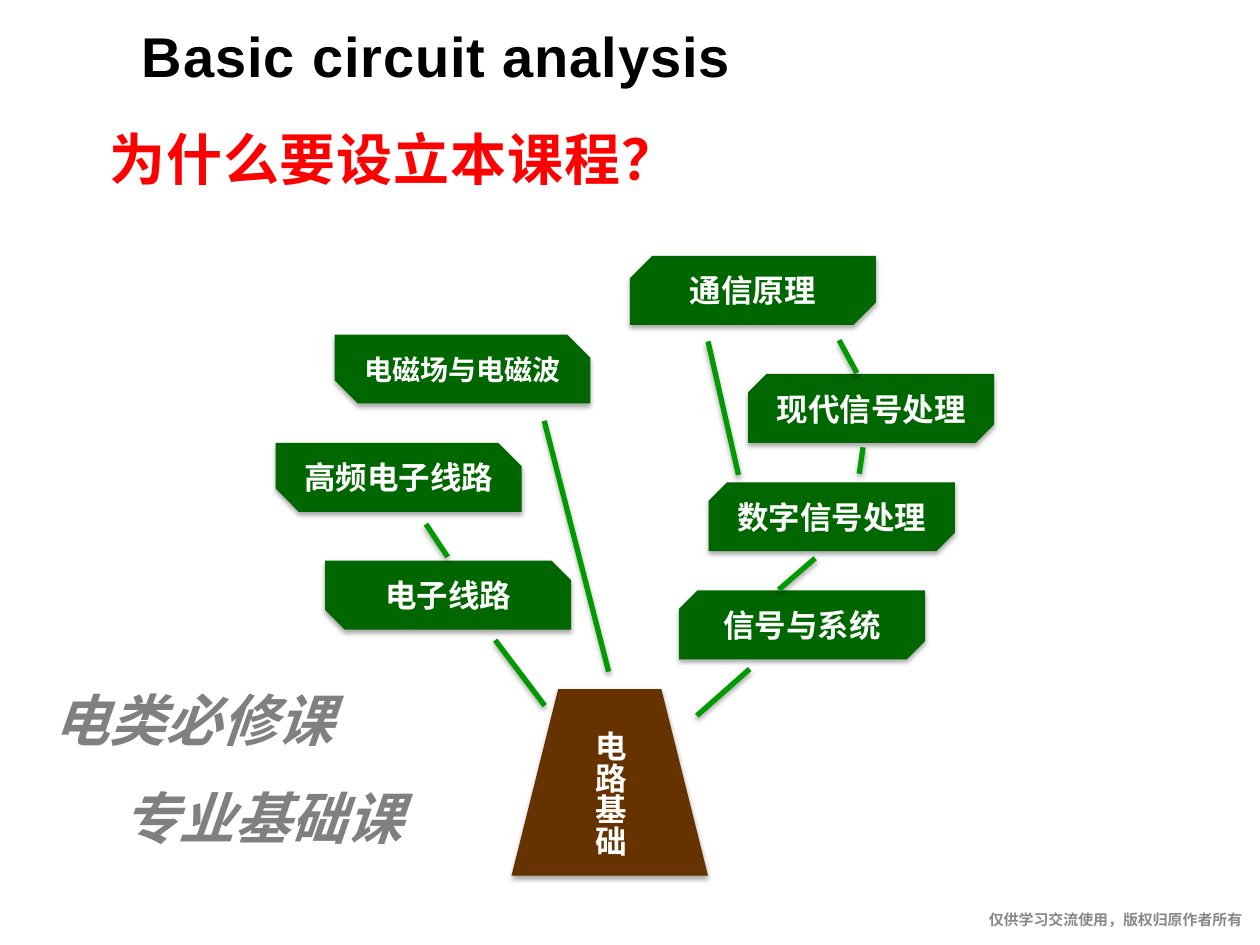
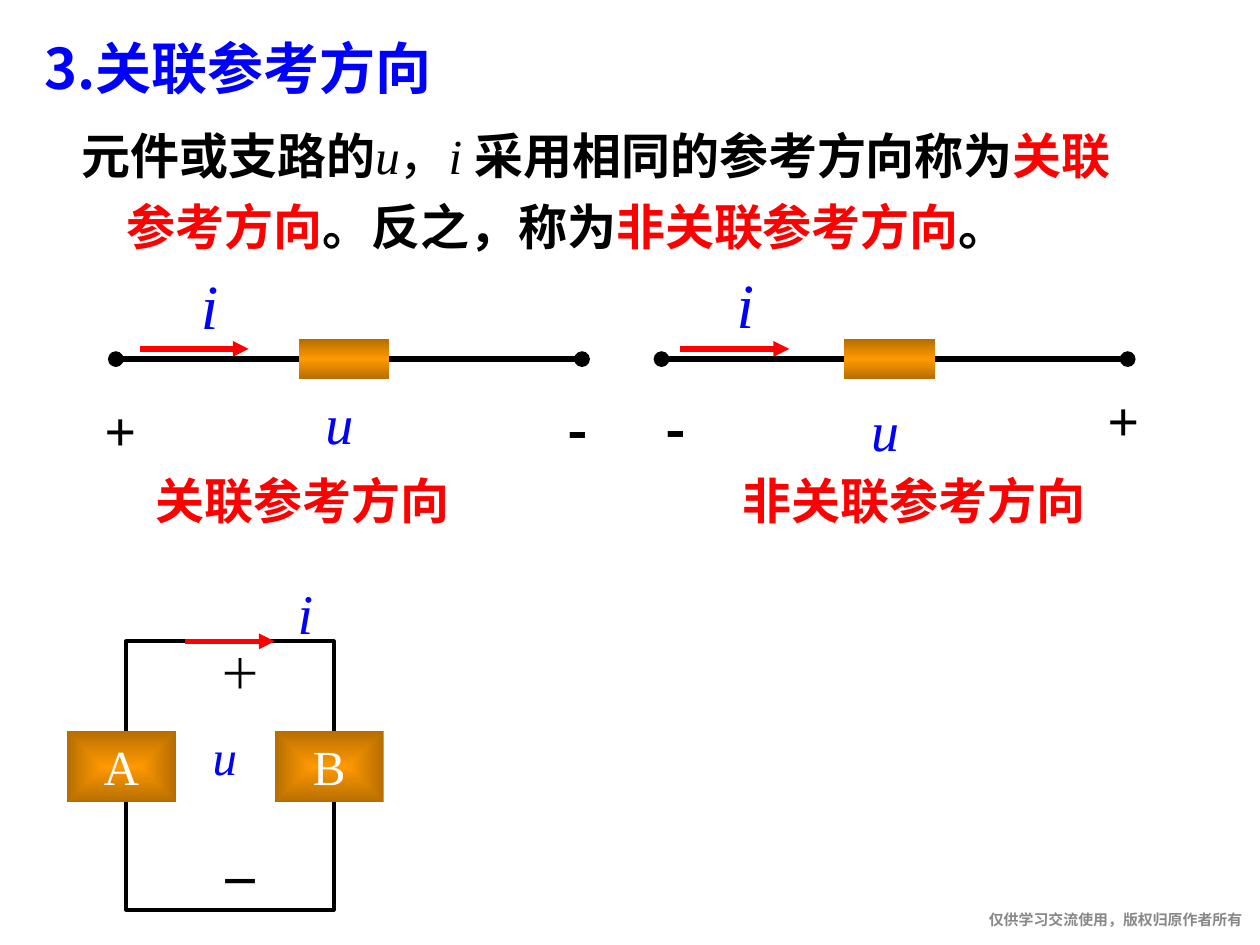
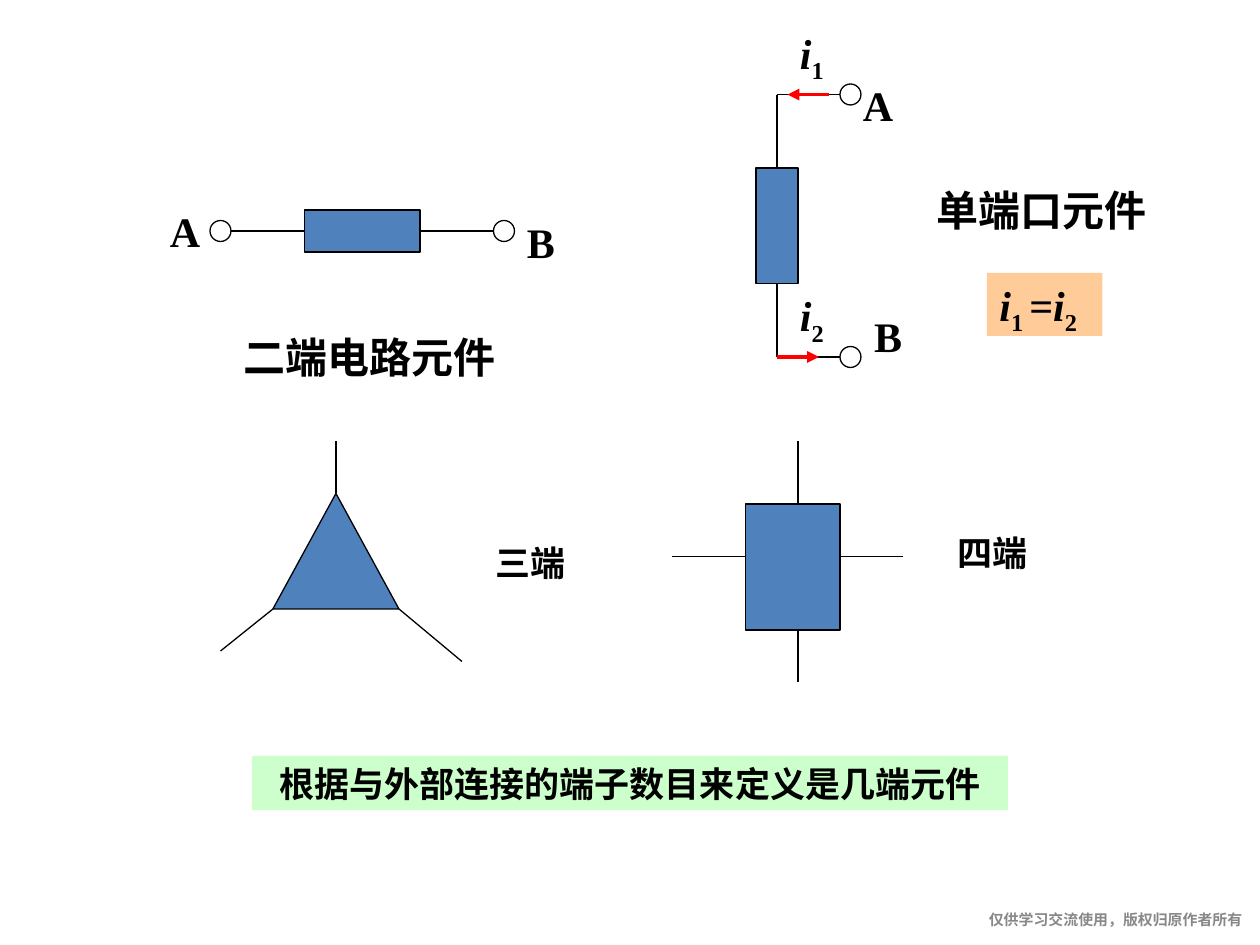
"""Build three slides on basic circuit analysis."""
import pptx
import pptx.dml.color
import pptx.enum.shapes
import pptx.enum.text
import pptx.oxml
import pptx.oxml.ns
import pptx.util

Pt = pptx.util.Pt
KIND = pptx.enum.shapes.MSO_SHAPE
ALIGN = pptx.enum.text.PP_ALIGN
ANCHOR = pptx.enum.text.MSO_ANCHOR
SANS, CJK, SERIF = "Arial", "Noto Sans CJK SC", "Times New Roman"
BLACK, WHITE, RED, BLUE = "000000", "FFFFFF", "FF0000", "0000FF"
GREEN, TWIG, BROWN, GRAY = "006600", "009900", "663300", "808080"
STEEL, MINT, PEACH = "4F81BD", "CCFFCC", "FFCC99"
AMBER, RUST = "FF9900", "B66D00"
CREDIT = "仅供学习交流使用，版权归原作者所有"
SIGN = {"size": 32, "bold": True}
VAR = {"size": 32, "face": SERIF, "color": BLUE, "slant": True}
TERM = {"size": 24, "face": SERIF, "bold": True}


def tint(code):
    """Turn a hex string into a colour."""
    return pptx.dml.color.RGBColor.from_string(code)


def node(tag, **attrs):
    """Make a drawing element."""
    item = pptx.oxml.parse_xml(f"<a:{tag} {pptx.oxml.ns.nsdecls('a')}/>")
    for key, value in attrs.items():
        item.set(key, str(value))
    return item


def nest(parent, tag, **attrs):
    """Append a drawing element and return it."""
    child = node(tag, **attrs)
    parent.append(child)
    return child


def cast(effects):
    """Add a soft drop shadow to an effect list."""
    shade = nest(effects, "outerShdw", blurRad=Pt(3.1), dist=Pt(1.8),
                 dir=5400000, rotWithShape=0)
    nest(nest(shade, "srgbClr", val=BLACK), "alpha", val=35000)


def blend(shape, stops, round_box=False):
    """Fill a shape with a vertical or boxed gradient."""
    grad = node("gradFill", rotWithShape=1)
    marks = nest(grad, "gsLst")
    for place, code in stops:
        nest(nest(marks, "gs", pos=place * 1000), "srgbClr", val=code)
    if round_box:
        nest(nest(grad, "path", path="shape"), "fillToRect",
             l=50000, t=50000, r=50000, b=50000)
    else:
        nest(grad, "lin", ang=5400000, scaled=1)
    props = shape._element.spPr
    props.replace(props.find(pptx.oxml.ns.qn("a:noFill")), grad)


def style(run, size, face=SANS, color=BLACK, bold=False, slant=False,
          base=0, space=0):
    """Format one run."""
    font = run.font
    font.size, font.bold, font.italic = Pt(size), bold, slant
    font.color.rgb = tint(color)
    font.name = face
    props = run._r.get_or_add_rPr()
    nest(props, "ea", typeface=CJK)
    if base:
        props.set("baseline", str(base * 1000))
    if space:
        props.set("spc", str(int(space * 100)))


def write(frame, text, align=ALIGN.LEFT, anchor=ANCHOR.TOP, wrap=True, **look):
    """Set text, given as a string or as (text, changes) pairs."""
    frame.word_wrap, frame.vertical_anchor = wrap, anchor
    para = frame.paragraphs[0]
    para.alignment = align
    parts = [(text, {})] if isinstance(text, str) else text
    for words, change in parts:
        run = para.add_run()
        run.text = words
        style(run, **{**look, **change})
    return para


def label(slide, box, text, **look):
    """Add a text box."""
    item = slide.shapes.add_textbox(*map(Pt, box))
    write(item.text_frame, text, **look)
    return item


def block(slide, kind, box, fill=None, line=None, width=0.75, shade=False):
    """Add a preset shape."""
    item = slide.shapes.add_shape(kind, *map(Pt, box))
    item.shadow.inherit = False
    if fill:
        item.fill.solid()
        item.fill.fore_color.rgb = tint(fill)
    else:
        item.fill.background()
    if line:
        item.line.color.rgb = tint(line)
        item.line.width = Pt(width)
    else:
        item.line.fill.background()
    if shade:
        cast(item._element.spPr.find(pptx.oxml.ns.qn("a:effectLst")))
    return item


def wire(slide, ends, color=BLACK, width=0.75, head=None, tail=None,
         shade=False):
    """Add a straight line with optional end marks."""
    item = slide.shapes.add_connector(
        pptx.enum.shapes.MSO_CONNECTOR.STRAIGHT, *map(Pt, ends))
    item.line.color.rgb = tint(color)
    item.line.width = Pt(width)
    stroke = item.line._get_or_add_ln()
    for tag, mark in (("headEnd", head), ("tailEnd", tail)):
        if mark:
            nest(stroke, tag, type=mark)
    effects = nest(item._element.spPr, "effectLst")
    if shade:
        cast(effects)
    return item


def start(deck, title=None, box=None, **look):
    """Add a slide with its credit line and perhaps a title."""
    slide = deck.slides.add_slide(deck.slide_layouts[5 if title else 6])
    if title:
        head = slide.shapes.title
        head.left, head.top, head.width, head.height = map(Pt, box)
        head.text_frame.auto_size = pptx.enum.text.MSO_AUTO_SIZE.NONE
        write(head.text_frame, title, size=32, bold=True, **look)
    foot = label(slide, (436.3, 520.6, 273.6, 15.8), CREDIT, size=8.5,
                 color="888888", bold=True, align=ALIGN.RIGHT).text_frame
    foot.margin_left = foot.margin_right = 0
    foot.margin_top = foot.margin_bottom = 0
    return slide


def tree(slide, x, y):
    """Draw the course tree from its top left corner."""
    root = block(slide, KIND.TRAPEZOID, (x + 134.8, y + 247.6, 112.3, 106.6),
                 BROWN, shade=True)
    write(root.text_frame, "电路基础", size=18, color=WHITE, bold=True,
          align=ALIGN.CENTER, anchor=ANCHOR.MIDDLE)
    root.text_frame._txBody.bodyPr.set("vert", "eaVert")
    courses = [("电子线路", 28.3, 174.2, 0, 0.285),
               ("高频电子线路", 0, 106.9, 0, 0.338),
               ("现代信号处理", 270, 67.5, 0.267, 0),
               ("通信原理", 202.5, 0, 0.324, 0),
               ("电磁场与电磁波", 33.7, 45, 0, 0.338),
               ("数字信号处理", 247.5, 129.4, 0.267, 0),
               ("信号与系统", 230.6, 191.2, 0.267, 0)]
    for name, left, top, *cuts in courses:
        long = len(name) > 6
        leaf = block(slide, KIND.SNIP_2_DIAG_RECTANGLE,
                     (x + left, y + top, 146.2 if long else 140.6, 39.4),
                     GREEN, shade=True)
        leaf.adjustments[0], leaf.adjustments[1] = cuts
        write(leaf.text_frame, name, size=16 if long else 18, color=WHITE,
              bold=True, align=ALIGN.CENTER, anchor=ANCHOR.MIDDLE)
    twigs = [(153.8, 257, 125.5, 219.6), (98.3, 172, 85.9, 153.3),
             (190.3, 237.6, 153.5, 94.3), (240.7, 262.8, 270.9, 236.1),
             (287.5, 190.8, 308.3, 172.8), (333.5, 124.5, 335.7, 109.4),
             (332.1, 66.9, 322, 48.2), (264.5, 125.2, 247.1, 48.9)]
    for x1, y1, x2, y2 in twigs:
        wire(slide, (x + x1, y + y1, x + x2, y + y2), TWIG, 3, shade=True)


def branch(slide, x, y, shift, marks, name, left, wide):
    """Draw one element on a wire with its current and voltage marks."""
    wire(slide, (x + 266.4, y, x, y), width=3, head="oval", tail="oval")
    part = block(slide, KIND.RECTANGLE, (x + 104.4, y - 11.5, 51.8, 23))
    blend(part, [(0, RUST), (50, AMBER), (100, RUST)])
    wire(slide, (x + shift, y - 5.8, x + shift + 62.2, y - 5.8), RED, 3,
         tail="triangle")
    for text, dx, dy in marks:
        look = {"i": {**VAR, "size": 36}, "u": VAR,
                "+": {**SIGN, "face": SERIF}, "-": {**SIGN, "face": CJK}}[text]
        label(slide, (x + dx, y + dy, 39.6 if text == "i" else 51.1, 45.4),
              text, align=ALIGN.CENTER, **look)
    label(slide, (x + left, y + 59.8, wide, 41), name, size=28, face=SERIF,
          color=RED, bold=True, align=ALIGN.CENTER, anchor=ANCHOR.MIDDLE)


def loop(slide, x, y):
    """Draw the closed loop of parts A and B."""
    block(slide, KIND.RECTANGLE, (x, y, 118.8, 153.4), line=BLACK, width=2.25)
    for name, dx in (("A", -33.8), ("B", 85)):
        part = block(slide, KIND.RECTANGLE, (x + dx, y + 51.1, 62.3, 41))
        blend(part, [(0, AMBER), (100, RUST)], True)
        write(part.text_frame, name, size=28, face=SERIF, color=WHITE,
              align=ALIGN.CENTER)
    wire(slide, (x + 34, y, x + 85, y), RED, 3, tail="triangle")
    for text, dx, dy, wide, look in (
            ("＋", 39.6, 0, 51.1, {"size": 24, "face": SERIF}),
            ("－", 39.6, 118.8, 51.1, TERM),
            ("u", 33.8, 45.4, 45.4, {**VAR, "size": 28}),
            ("i", 79.9, -39.6, 45.4, VAR)):
        label(slide, (x + dx, y + dy, wide, 41), text, align=ALIGN.CENTER,
              **look)


def pair(slide, x, y):
    """Draw the level element with two ends."""
    body = block(slide, KIND.RECTANGLE, (x + 54, y, 66, 24), STEEL, BLACK)
    for side, near, ring in ((1, 12, 0), (3, 162, 162)):
        lead = wire(slide, (x + 66, y + 12, x + near, y + 12))
        lead.begin_connect(body, side)
        block(slide, KIND.OVAL, (x + ring, y + 6, 12, 12), line=BLACK)
    label(slide, (x - 30, y - 6, 60, 36), "A", **TERM)
    label(slide, (x + 174, y, 42, 36), "B", **TERM)


def port(slide, x, y):
    """Draw the upright element with one port."""
    body = block(slide, KIND.RECTANGLE, (x, y + 48, 24, 66), STEEL, BLACK)
    for side, level in ((0, 6), (2, 156)):
        lead = wire(slide, (x + 12, y + 48, x + 12, y + level))
        lead.begin_connect(body, side)
        wire(slide, (x + 12, y + level, x + 48, y + level))
        block(slide, KIND.OVAL, (x + 48, y + level - 6, 12, 12), line=BLACK)
    label(slide, (x + 54, y - 6, 60, 36), "A", **TERM)
    label(slide, (x + 60.5, y + 126, 42, 36), "B", **TERM)
    for num, level, tail, tip in (("1", 6, 42, 18), ("2", 156, 12, 36)):
        wire(slide, (x + tail, y + level, x + tip, y + level), RED, 2.25,
             tail="triangle")
        label(slide, (x + 18, y + level - 42, 36, 36),
              [("i", {"slant": True}), (num, {"base": -25})], **TERM)


def three(slide, x, y):
    """Draw the element with three ends."""
    body = block(slide, KIND.ISOSCELES_TRIANGLE, (x, y, 72, 66), STEEL, BLACK)
    wire(slide, (x + 36, y, x + 36, y - 30)).begin_connect(body, 0)
    wire(slide, (x, y + 66, x - 30, y + 90))
    wire(slide, (x + 72, y + 66, x + 108, y + 96))


def four(slide, x, y):
    """Draw the element with four ends."""
    block(slide, KIND.RECTANGLE, (x, y, 54, 72), STEEL, BLACK)
    for x1, y1, x2, y2 in ((30, 0, 30, -36), (0, 30, -42, 30),
                           (54, 30, 90, 30), (30, 72, 30, 102)):
        wire(slide, (x + x1, y + y1, x + x2, y + y2))


def reason(deck):
    """Build the slide on why the course exists."""
    slide = start(deck, "Basic circuit analysis", (58.3, 8.6, 382.3, 46),
                  align=ALIGN.CENTER, space=0.5)
    label(slide, (33.8, 67.7, 382.3, 46), "为什么要设立本课程？", size=32,
          color=RED, bold=True, space=0.5, align=ALIGN.CENTER)
    tree(slide, 157.5, 146.2)
    for text, x, y in (("专业基础课", 61.9, 444.2), ("电类必修课", 22.3, 388.1)):
        label(slide, (x, y, 176.4, 46), text, size=32, face=CJK, color=GRAY,
              bold=True, slant=True, align=ALIGN.CENTER, wrap=False)


def sense(deck):
    """Build the slide on reference directions."""
    slide = start(deck, "3.关联参考方向", (18, 15.8, 254.9, 45.4),
                  face=CJK, color=BLUE)
    plain = {"face": SERIF, "bold": False}
    red = {"color": RED}
    rule = [("元件或支路的", {}), ("u", {**plain, "slant": True}),
            ("，", plain), ("i ", {**plain, "slant": True}),
            ("采用相同的参考方向称为", {}), ("关联参考方向", red),
            ("。反之，称为", {}), ("非关联参考方向", red), ("。", {})]
    item = slide.shapes.add_textbox(Pt(20.9), Pt(61.2), Pt(643.7), Pt(88.6))
    para = write(item.text_frame, rule, size=28, face=CJK, bold=True,
                 anchor=ANCHOR.MIDDLE)
    para.line_spacing = 1.2
    props = para._p.get_or_add_pPr()
    props.set("marL", str(Pt(44.6)))
    props.set("indent", str(Pt(-25.8)))
    branch(slide, 66.2, 205.2, 13.7,
           [("i", 33.8, -56.2), ("+", -23, 17.3), ("-", 238.3, 17.3),
            ("u", 102.2, 13)], "关联参考方向", 10.1, 193)
    branch(slide, 378, 205.2, 10.8,
           [("i", 28.1, -56.9), ("-", -17.3, 16.6), ("+", 238.3, 11.5),
            ("u", 102.2, 17.3)], "非关联参考方向", 33.8, 221)
    loop(slide, 72, 366.5)


def ends(deck):
    """Build the slide on elements by number of ends."""
    slide = start(deck)
    pair(slide, 120, 120)
    port(slide, 432, 48)
    three(slide, 156, 282)
    four(slide, 426, 288)
    for text, size, x, y, wide in (
            ("二端电路元件", 24, 132, 186, 159.1),
            ("单端口元件", 24, 528, 102, 135.4),
            ("三端", 20, 276, 306, 54.7), ("四端", 20, 540, 300, 54.7)):
        label(slide, (x, y, wide, 1.5 * size), text, wrap=False,
              **{**TERM, "size": size})
    note = block(slide, KIND.RECTANGLE, (144, 432, 432, 31), MINT)
    write(note.text_frame, "根据与外部连接的端子数目来定义是几端元件",
          align=ALIGN.CENTER, **{**TERM, "size": 20})
    law = block(slide, KIND.RECTANGLE, (564, 156, 66, 36), PEACH)
    slant, sub = {"slant": True}, {"base": -25}
    write(law.text_frame, [("i", slant), ("1 ", sub), ("=", {}),
                           ("i", slant), ("2", sub)], **TERM)


def main():
    """Build and save the deck."""
    deck = pptx.Presentation()
    deck.slide_width, deck.slide_height = Pt(720), Pt(540)
    for build in (reason, sense, ends):
        build(deck)
    deck.save("out.pptx")


if __name__ == "__main__":
    main()
